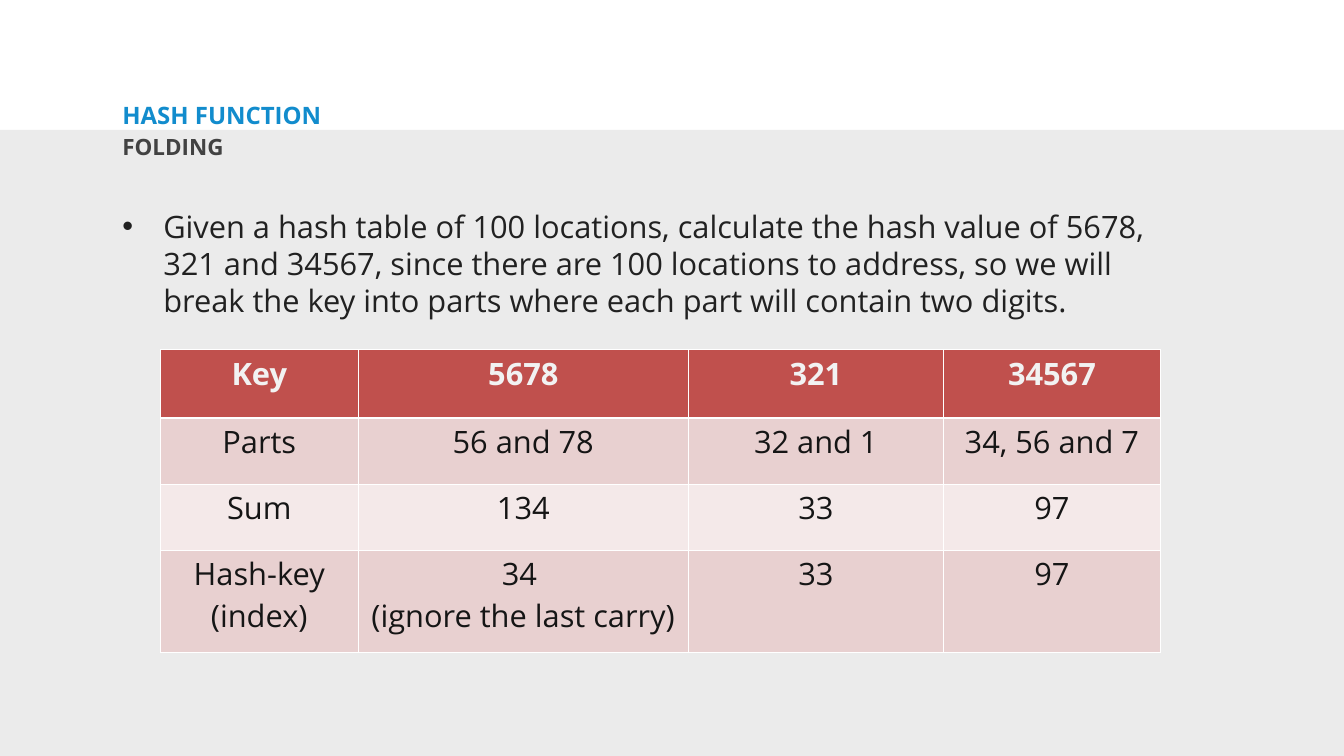
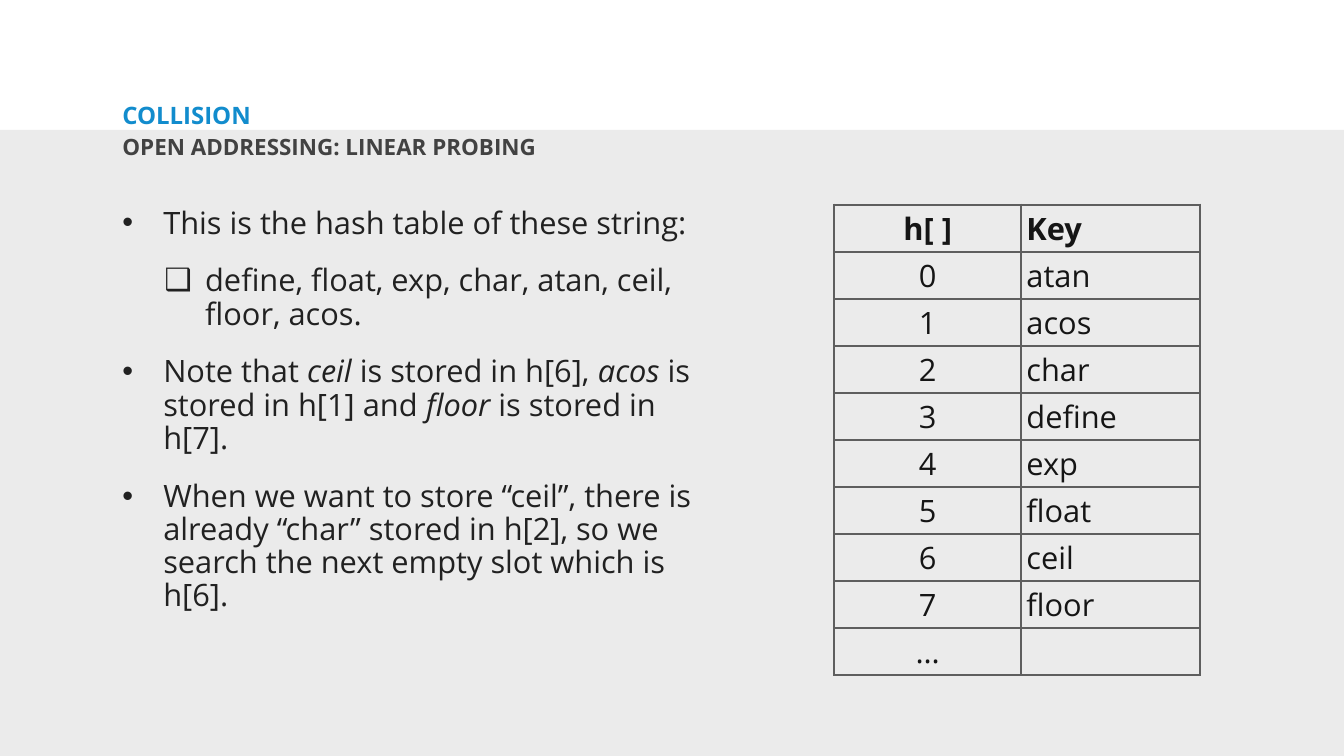
from dataclasses import dataclass

from lxml.etree import SubElement
from pptx import Presentation
from pptx.dml.color import RGBColor
from pptx.enum.shapes import MSO_SHAPE
from pptx.enum.text import PP_ALIGN
from pptx.oxml.ns import qn
from pptx.util import Cm, Pt


@dataclass(frozen=True)
class Theme:
    font: str = "Open Sans"
    bullet_font: str = "Arial"
    band: str = "EBEBEB"
    title: str = "128CCD"
    subtitle: str = "424242"
    body: str = "212121"
    cell: str = "151515"
    header_text: str = "F2F2F2"
    header_fill: str = "C0504D"
    dark_row: str = "E8D0D0"
    light_row: str = "F4E9E9"
    white: str = "FFFFFF"
    grid: str = "5E5E5E"
    title_size: float = 34.2
    subtitle_size: float = 32
    body_size: float = 44


theme = Theme()


def write_paragraph(frame, text, size, color, bold=False, align=PP_ALIGN.LEFT,
                    spacing=None, bullet=None, level=0):
    paragraph = frame.paragraphs[0]
    first = not paragraph.runs
    if not first:
        paragraph = frame.add_paragraph()
    if bullet:
        properties = paragraph._p.get_or_add_pPr()
        properties.set("marL", str(Cm(2.06 + 2.11 * level)))
        properties.set("indent", str(-Cm(2.06)))
        SubElement(properties, qn("a:buFont"), typeface=theme.bullet_font)
        SubElement(properties, qn("a:buChar"), char=bullet)
        paragraph.level = level
        if not first:
            paragraph.space_before = Pt(35)
    paragraph.alignment = align
    if spacing:
        paragraph.line_spacing = spacing
    for position, part in enumerate(text.split("*")):
        run = paragraph.add_run()
        run.text = part
        run.font.name = theme.font
        run.font.size = Pt(size)
        run.font.bold = bold
        run.font.italic = position % 2 == 1
        run.font.color.rgb = RGBColor.from_string(color)


def draw_table(slide, left, top, widths, heights, rows, aligns, fills, header_color,
               border, thin, header_rule):
    table = slide.shapes.add_table(
        len(rows), len(widths), Cm(left), Cm(top), Cm(sum(widths)), Cm(sum(heights))).table
    table.first_row = table.horz_banding = False
    for column, width in zip(table.columns, widths):
        column.width = Cm(width)
    for r, values in enumerate(rows):
        table.rows[r].height = Cm(heights[r])
        for c, value in enumerate(values):
            cell = table.cell(r, c)
            properties = cell._tc.get_or_add_tcPr()
            for side in ("lnL", "lnR", "lnT", "lnB"):
                under_header = (r, side) in ((0, "lnB"), (1, "lnT"))
                line = SubElement(properties, qn(f"a:{side}"),
                                  w=str(Pt(header_rule if under_header else thin)))
                SubElement(SubElement(line, qn("a:solidFill")), qn("a:srgbClr"), val=border)
            if fills:
                cell.fill.solid()
                cell.fill.fore_color.rgb = RGBColor.from_string(fills[r])
            else:
                cell.fill.background()
            for text in filter(None, value.split("\n")):
                write_paragraph(cell.text_frame, text, theme.body_size,
                                theme.cell if r else header_color, r == 0, aligns[c])


folding_points = [
    ("•", 0, "Given a hash table of 100 locations, calculate the hash value of 5678, 321 and "
             "34567, since there are 100 locations to address, so we will break the key into "
             "parts where each part will contain two digits."),
]
probing_points = [
    ("•", 0, "This is the hash table of these string:"),
    ("❑", 1, "define, float, exp, char, atan, ceil, floor, acos."),
    ("•", 0, "Note that *ceil* is stored in h[6], *acos* is stored in h[1] and *floor* "
             "is stored in h[7]."),
    ("•", 0, "When we want to store “ceil”, there is already “char” stored in h[2], so we "
             "search the next empty slot which is h[6]."),
]
folding_rows = [
    ("Key", "5678", "321", "34567"),
    ("Parts", "56 and 78", "32 and 1", "34, 56 and 7"),
    ("Sum", "134", "33", "97"),
    ("Hash-key (index)", "34 \n(ignore the last carry)", "33", "97"),
]
stored_keys = ["atan", "acos", "char", "define", "exp", "float", "ceil", "floor"]
probing_rows = [("h[ ]", "Key"), *((str(i), key) for i, key in enumerate(stored_keys)), ("…", "")]

topics = [
    ("HASH FUNCTION", "FOLDING", folding_points, 53.64, 1.0, dict(
        left=8.08, top=17.62, widths=[9.98, 16.64, 12.85, 10.95],
        heights=[3.45, 3.33, 3.33, 5.16], rows=folding_rows, aligns=[PP_ALIGN.CENTER] * 4,
        fills=[theme.header_fill, theme.dark_row, theme.light_row, theme.dark_row],
        header_color=theme.header_text, border=theme.white, thin=1, header_rule=3)),
    ("COLLISION", "OPEN ADDRESSING: LINEAR PROBING", probing_points, 29.31, 0.9, dict(
        left=42.04, top=10.31, widths=[9.44, 8.99], heights=[2.37] * len(probing_rows),
        rows=probing_rows, aligns=[PP_ALIGN.CENTER, PP_ALIGN.LEFT], fills=None,
        header_color=theme.cell, border=theme.grid, thin=3, header_rule=3)),
]

deck = Presentation()
deck.slide_width, deck.slide_height = Cm(67.74), Cm(38.1)

for title, subtitle, points, body_width, body_spacing, table_layout in topics:
    slide = deck.slides.add_slide(deck.slide_layouts[6])
    band = slide.shapes.add_shape(MSO_SHAPE.RECTANGLE, 0, Cm(6.55), Cm(67.74), Cm(31.55))
    band.shadow.inherit = False
    band.fill.solid()
    band.fill.fore_color.rgb = RGBColor.from_string(theme.band)
    band.line.fill.background()

    frames = []
    for top, width, height in ((5.21, 40.87, 1.42), (6.73, 27.13, 2.24),
                               (10.31, body_width, 22.58)):
        frame = slide.shapes.add_textbox(Cm(6.02), Cm(top), Cm(width), Cm(height)).text_frame
        frame.word_wrap = True
        frame.margin_left = frame.margin_right = Cm(0.15)
        frame.margin_top = frame.margin_bottom = Cm(0.15)
        frames.append(frame)
    heading, subheading, body = frames
    write_paragraph(heading, title, theme.title_size, theme.title, True, spacing=0.8)
    write_paragraph(subheading, subtitle, theme.subtitle_size, theme.subtitle, True, spacing=0.9)
    for bullet, level, text in points:
        write_paragraph(body, text, theme.body_size, theme.body,
                        spacing=body_spacing, bullet=bullet, level=level)
    draw_table(slide, **table_layout)

deck.save("out.pptx")
